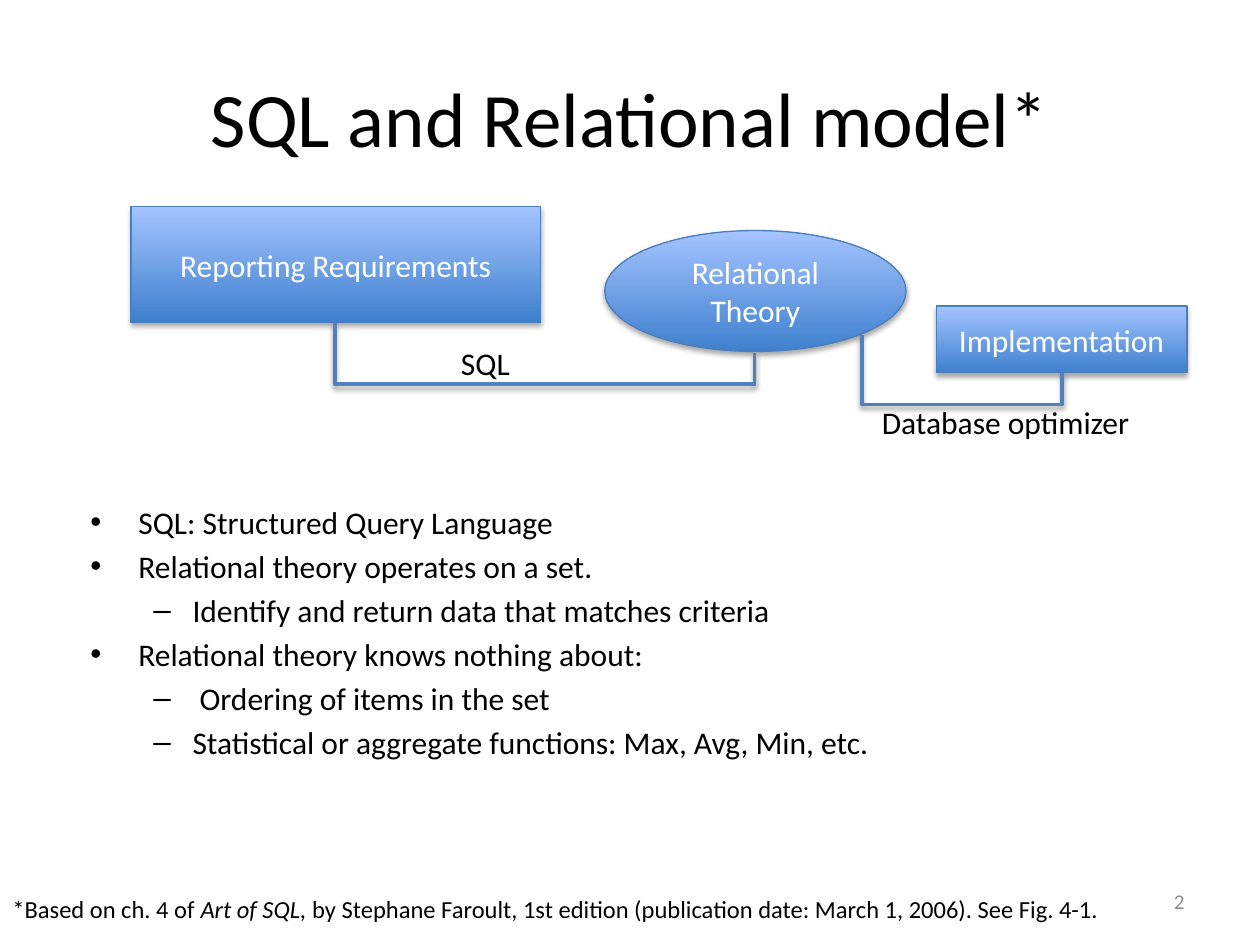
"""Build the slide that places SQL between reporting requirements and relational theory."""
from dataclasses import dataclass

from lxml.etree import SubElement
from pptx import Presentation
from pptx.dml.color import RGBColor
from pptx.enum.shapes import MSO_CONNECTOR as Connector, MSO_SHAPE as Preset
from pptx.enum.text import MSO_ANCHOR as Anchor, PP_ALIGN as Align
from pptx.oxml.ns import qn
from pptx.util import Emu, Inches, Pt

COLUMNS, ROWS = 100, 75
SLIDE_WIDTH, SLIDE_HEIGHT = Inches(10), Inches(7.5)


@dataclass(frozen=True)
class Theme:
    font: str = "Calibri"
    text: str = "000000"
    inverse: str = "FFFFFF"
    muted: str = "8C8C8C"
    gradient: tuple[str, str] = ("3F80CE", "A4C4FF")
    outline: str = "4B7EBC"
    connector: str = "4F81BD"
    title_size: int = 44
    body_size: int = 18
    note_size: int = 14
    number_size: int = 12


@dataclass(frozen=True)
class Box:
    left: float
    top: float
    width: float
    height: float

    def lengths(self) -> tuple[Emu, Emu, Emu, Emu]:
        return (column(self.left), row(self.top), column(self.width), row(self.height))


@dataclass(frozen=True)
class Node:
    text: str
    preset: Preset
    box: Box


@dataclass(frozen=True)
class Link:
    start: tuple[float, float]
    end: tuple[float, float]
    bottom: float


@dataclass(frozen=True)
class Label:
    text: str
    box: Box


@dataclass(frozen=True)
class Bullet:
    text: str
    level: int = 0


@dataclass(frozen=True)
class BulletStyle:
    mark: str
    indent: float
    hanging: float


THEME = Theme()
TITLE = Label("SQL and Relational model*", Box(5, 3, 90, 12.5))
NODES = (
    Node("Reporting Requirements", Preset.RECTANGLE, Box(10.4, 16.4, 32.5, 9.2)),
    Node("Relational Theory", Preset.OVAL, Box(48, 18.3, 23.9, 9.6)),
    Node("Implementation", Preset.RECTANGLE, Box(74.3, 24.3, 19.9, 5.3)),
)
LINKS = (
    Link((26.6, 25.6), (59.9, 28), 30.5),
    Link((68.4, 26.6), (84.3, 29.6), 32.1),
)
LABELS = (
    Label("SQL", Box(35.6, 26.8, 12.4, 4)),
    Label("Database optimizer", Box(69, 31.5, 21.8, 4)),
)
BULLETS = (
    Bullet("SQL: Structured Query Language"),
    Bullet("Relational theory operates on a set."),
    Bullet("Identify and return data that matches criteria", 1),
    Bullet("Relational theory knows nothing about:"),
    Bullet(" Ordering of items in the set", 1),
    Bullet("Statistical or aggregate functions: Max, Avg, Min, etc.", 1),
)
BULLET_STYLES = (BulletStyle("•", 3.8, 3.8), BulletStyle("–", 8.1, 3.1))
BULLET_BOX = Box(6.2, 39.4, 90, 25)
NUMBER = Label("2", Box(71.7, 69.5, 23.3, 4))
NOTE_BOX = Box(0, 70.5, 97, 3.4)
NOTE = (
    ("*Based on ch. 4 of ", False),
    ("Art of SQL, ", True),
    ("by Stephane Faroult, 1st edition (publication date: March 1, 2006). See Fig. 4-1.", False),
)


def column(count: float) -> Emu:
    """Turn grid columns into a length."""
    return Emu(round(SLIDE_WIDTH * count / COLUMNS))


def row(count: float) -> Emu:
    """Turn grid rows into a length."""
    return Emu(round(SLIDE_HEIGHT * count / ROWS))


def write_text(paragraph, text: str, *, size: int = THEME.body_size, color: str = THEME.text,
               italic: bool = False, align: Align = Align.LEFT) -> None:
    """Add a formatted run to a paragraph."""
    paragraph.alignment = align
    run = paragraph.add_run()
    run.text = text
    run.font.name, run.font.size, run.font.italic = THEME.font, Pt(size), italic
    run.font.color.rgb = RGBColor.from_string(color)


def add_text_box(slide, box: Box, anchor: Anchor = Anchor.TOP):
    """Add a wrapping text box and return its text frame."""
    frame = slide.shapes.add_textbox(*box.lengths()).text_frame
    frame.word_wrap, frame.vertical_anchor = True, anchor
    return frame


def add_shadow(shape, opacity: int, distance: float) -> None:
    """Give a shape or connector a soft shadow below it."""
    effects = SubElement(shape.element.spPr, qn("a:effectLst"))
    shadow = SubElement(effects, qn("a:outerShdw"), blurRad=str(Pt(3.1)),
                        dist=str(Pt(distance)), dir="5400000", rotWithShape="0")
    color = SubElement(shadow, qn("a:srgbClr"), val=THEME.text)
    SubElement(color, qn("a:alpha"), val=str(opacity * 1000))


def add_node(slide, node: Node) -> None:
    """Draw a gradient shape with centred text."""
    shape = slide.shapes.add_shape(node.preset, *node.box.lengths())
    shape.fill.gradient()
    shape.fill.gradient_angle = 90
    for position, (stop, color) in enumerate(zip(shape.fill.gradient_stops, THEME.gradient)):
        stop.position = position
        stop.color.rgb = RGBColor.from_string(color)
    shape.line.color.rgb = RGBColor.from_string(THEME.outline)
    shape.line.width = Pt(0.75)
    add_shadow(shape, 35, 1.8)
    frame = shape.text_frame
    frame.word_wrap, frame.vertical_anchor = True, Anchor.MIDDLE
    write_text(frame.paragraphs[0], node.text, color=THEME.inverse, align=Align.CENTER)


def add_link(slide, link: Link) -> None:
    """Draw an elbow that drops below both ends, as a quarter-turned connector."""
    (start_x, start_y), (end_x, end_y) = link.start, link.end
    width, height = end_y - start_y, end_x - start_x
    left, top = (start_x + end_x - width) / 2, (start_y + end_y - height) / 2
    connector = slide.shapes.add_connector(
        Connector.ELBOW, column(left + width), row(top), column(left), row(top + height))
    properties = connector.element.spPr
    properties.find(qn("a:xfrm")).set("rot", "16200000")
    adjustments = properties.find(qn("a:prstGeom")).find(qn("a:avLst"))
    bend = round((link.bottom - start_y) / width * 100000)
    SubElement(adjustments, qn("a:gd"), name="adj1", fmla=f"val {bend}")
    connector.line.color.rgb = RGBColor.from_string(THEME.connector)
    connector.line.width = Pt(2)
    add_shadow(connector, 38, 1.6)


def add_bullets(slide) -> None:
    """Write the two-level list."""
    frame = add_text_box(slide, BULLET_BOX)
    for index, bullet in enumerate(BULLETS):
        paragraph = frame.add_paragraph() if index else frame.paragraphs[0]
        style = BULLET_STYLES[bullet.level]
        paragraph.level = bullet.level
        paragraph.space_before = Pt(THEME.body_size * 0.2)
        write_text(paragraph, bullet.text)
        properties = paragraph._p.get_or_add_pPr()
        properties.set("marL", str(column(style.indent)))
        properties.set("indent", str(-column(style.hanging)))
        SubElement(properties, qn("a:buFont"), typeface="Arial")
        SubElement(properties, qn("a:buChar"), char=style.mark)


def build() -> None:
    """Assemble and save the slide."""
    presentation = Presentation()
    presentation.slide_width, presentation.slide_height = SLIDE_WIDTH, SLIDE_HEIGHT
    slide = presentation.slides.add_slide(presentation.slide_layouts.get_by_name("Title Only"))
    title = slide.shapes.title
    title.left, title.top, title.width, title.height = TITLE.box.lengths()
    title.text_frame.vertical_anchor = Anchor.MIDDLE
    write_text(title.text_frame.paragraphs[0], TITLE.text, size=THEME.title_size, align=Align.CENTER)
    add_bullets(slide)
    for node in NODES:
        add_node(slide, node)
    for link in LINKS:
        add_link(slide, link)
    for label in LABELS:
        write_text(add_text_box(slide, label.box).paragraphs[0], label.text)
    number = add_text_box(slide, NUMBER.box, Anchor.MIDDLE).paragraphs[0]
    write_text(number, NUMBER.text, size=THEME.number_size, color=THEME.muted, align=Align.RIGHT)
    note = add_text_box(slide, NOTE_BOX).paragraphs[0]
    for text, italic in NOTE:
        write_text(note, text, size=THEME.note_size, italic=italic)
    presentation.save("out.pptx")


build()
